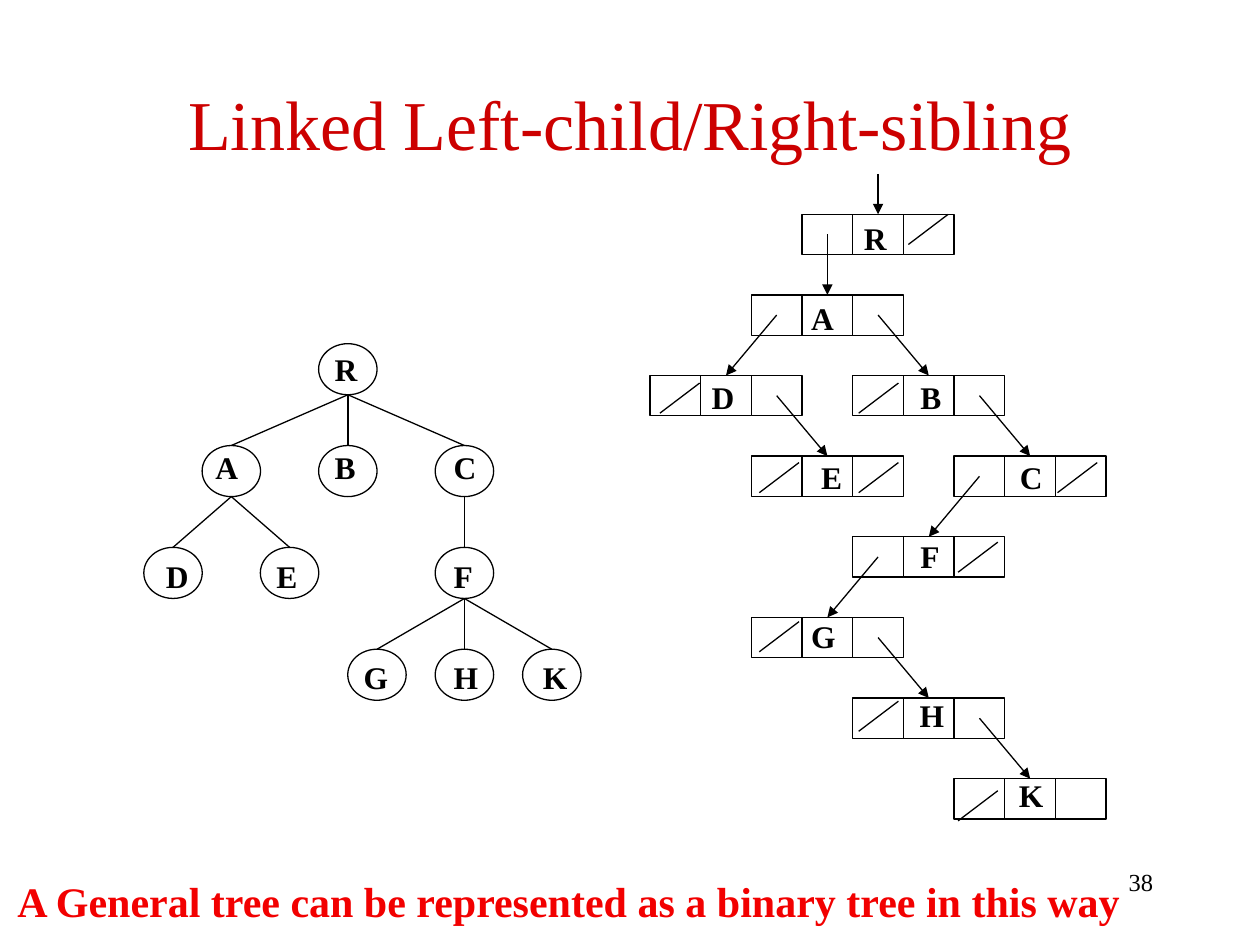
import pptx
import pptx.dml.color
import pptx.enum.shapes
import pptx.enum.text
import pptx.oxml
import pptx.oxml.ns
import pptx.util

Pt = pptx.util.Pt
SHAPE = pptx.enum.shapes.MSO_SHAPE
ALIGN = pptx.enum.text.PP_ALIGN
BLACK = pptx.dml.color.RGBColor(0, 0, 0)
WHITE = pptx.dml.color.RGBColor(255, 255, 255)
TITLE_RED = pptx.dml.color.RGBColor(0xCC, 0, 0)
CAPTION_RED = pptx.dml.color.RGBColor(0xF2, 0, 0)
FONT = "Times New Roman"

# General tree: name -> (column, level, label inset, parent)
TREE_NODES = {
    "R": (6, 0, 2, None), "A": (2, 1, 0.5, "R"), "B": (6, 1, 2, "R"),
    "C": (10, 1, 3.5, "R"), "D": (0, 2, 5.5, "A"), "E": (4, 2, 2, "A"),
    "F": (10, 2, 3.5, "C"), "G": (7, 3, 2, "F"), "H": (10, 3, 3.5, "F"),
    "K": (13, 3, 4.5, "F"),
}
TREE_LEFT, TREE_TOP = 82.2, 196.4
TREE_COLUMN, TREE_LEVEL = 16.65, 58.2
NODE_WIDTH, NODE_HEIGHT = 33.4, 29.2
LEVEL_LABEL_SHIFT = (0, -2, 2, 1.2)

# Linked records: name -> (first column, row, label shift)
RECORDS = {
    "R": (3, 0, 1.8), "A": (2, 1, 0), "D": (0, 2, 0), "B": (4, 2, 5.7),
    "E": (2, 3, 5.7), "C": (6, 3, 5.7), "F": (4, 4, 5.7), "G": (2, 5, 0),
    "H": (4, 6, 5.2), "K": (6, 7, 5.2),
}
LEFT_FIELD, NAME_FIELD, RIGHT_FIELD = range(3)
POINTERS = [
    ("R", LEFT_FIELD, "A"), ("A", LEFT_FIELD, "D"), ("A", RIGHT_FIELD, "B"),
    ("D", RIGHT_FIELD, "E"), ("B", RIGHT_FIELD, "C"), ("C", LEFT_FIELD, "F"),
    ("F", LEFT_FIELD, "G"), ("G", RIGHT_FIELD, "H"), ("H", RIGHT_FIELD, "K"),
]
# Null fields: (record, field, vertical shift of the slash)
NULLS = [
    ("R", RIGHT_FIELD, -5.5), ("D", LEFT_FIELD, 0), ("B", LEFT_FIELD, 0),
    ("E", LEFT_FIELD, 0), ("E", RIGHT_FIELD, 0), ("C", RIGHT_FIELD, 0),
    ("F", RIGHT_FIELD, 0), ("G", LEFT_FIELD, 0), ("H", LEFT_FIELD, 0),
    ("K", LEFT_FIELD, 5.7),
]
RECORD_LEFT, RECORD_TOP = 371.4, 122.4
CELL_WIDTH, CELL_HEIGHT, ROW_PITCH = 28.97, 23.1, 46.08
MARK_COLUMN, MARK_ROW = 28.4, 45.45  # grid of the labels and slashes


def format_paragraph(para, size, color, bold=False, align=ALIGN.LEFT):
    para.alignment = align
    para.font.name = FONT
    para.font.size = Pt(size)
    para.font.bold = bold
    para.font.color.rgb = color


def add_text(shapes, text, left, top, width, height, size, color=BLACK,
             bold=True, align=ALIGN.LEFT, wrap=False):
    box = shapes.add_textbox(Pt(left), Pt(top), Pt(width), Pt(height))
    box.text_frame.word_wrap = wrap
    para = box.text_frame.paragraphs[0]
    para.text = text
    format_paragraph(para, size, color, bold, align)


def add_label(shapes, text, left, top):
    add_text(shapes, text, left, top, 28, 29, 18)


def add_outline(shapes, kind, left, top, width, height):
    shape = shapes.add_shape(kind, Pt(left), Pt(top), Pt(width), Pt(height))
    shape.shadow.inherit = False
    shape.fill.solid()
    shape.fill.fore_color.rgb = WHITE
    shape.line.color.rgb = BLACK
    shape.line.width = Pt(0.75)
    return shape


def add_line(shapes, start, end, arrow=False):
    line = shapes.add_connector(
        pptx.enum.shapes.MSO_CONNECTOR.STRAIGHT, *map(Pt, start + end))
    line.line.color.rgb = BLACK
    line.line.width = Pt(0.75)
    if arrow:
        pptx.oxml.ns.qn("a:tailEnd")
        outline = line.line._get_or_add_ln()
        outline.append(pptx.oxml.parse_xml(
            f'<a:tailEnd {pptx.oxml.ns.nsdecls("a")} type="triangle"/>'))
    line._element.spPr.append(pptx.oxml.parse_xml(
        f'<a:effectLst {pptx.oxml.ns.nsdecls("a")}/>'))
    return line


def add_title(slide, text):
    title = slide.shapes.title
    title.left, title.top, title.width, title.height = map(
        Pt, (54, 48, 612, 90))
    frame = title.text_frame
    frame.text = text
    frame.word_wrap = True
    frame.vertical_anchor = pptx.enum.text.MSO_ANCHOR.MIDDLE
    frame.margin_bottom = Pt(49.6)  # lifts the line above the diagram
    format_paragraph(frame.paragraphs[0], 40, TITLE_RED, align=ALIGN.CENTER)


def add_general_tree(shapes):
    corners = {
        name: (TREE_LEFT + column * TREE_COLUMN, TREE_TOP + level * TREE_LEVEL)
        for name, (column, level, _, _) in TREE_NODES.items()}
    for left, top in corners.values():
        add_outline(shapes, SHAPE.OVAL, left, top, NODE_WIDTH, NODE_HEIGHT)
    for name, (_, level, inset, parent) in TREE_NODES.items():
        left, top = corners[name]
        if parent:
            parent_left, parent_top = corners[parent]
            add_line(shapes,
                     (parent_left + NODE_WIDTH / 2, parent_top + NODE_HEIGHT),
                     (left + NODE_WIDTH / 2, top))
        add_label(shapes, name, left + inset, top + LEVEL_LABEL_SHIFT[level])


def cell_corner(name, field):
    column, row, _ = RECORDS[name]
    return (RECORD_LEFT + (column + field) * CELL_WIDTH,
            RECORD_TOP + row * ROW_PITCH)


def add_linked_records(shapes):
    cells = {
        (name, field): add_outline(shapes, SHAPE.RECTANGLE,
                                   *cell_corner(name, field),
                                   CELL_WIDTH, CELL_HEIGHT)
        for name in RECORDS for field in range(3)}

    def point_to(name, start):
        left, top = cell_corner(name, NAME_FIELD)
        arrow = add_line(shapes, start, (left + CELL_WIDTH / 2, top), True)
        arrow.end_connect(cells[name, NAME_FIELD], 0)

    root_left, root_top = cell_corner("R", NAME_FIELD)
    point_to("R", (root_left + CELL_WIDTH / 2, root_top - 23))
    for source, field, target in POINTERS:
        left, top = cell_corner(source, field)
        point_to(target, (left + CELL_WIDTH / 2, top + CELL_HEIGHT / 2))

    for name, (column, row, shift) in RECORDS.items():
        add_label(shapes, name, 399.6 + column * MARK_COLUMN + shift,
                  121.7 + row * MARK_ROW)
    for name, field, shift in NULLS:
        column, row, _ = RECORDS[name]
        left = 377.1 + (column + field) * MARK_COLUMN
        top = 128 + row * MARK_ROW + shift
        add_line(shapes, (left, top + 17.2), (left + 22.7, top))


def main():
    deck = pptx.Presentation()
    deck.slide_width, deck.slide_height = Pt(720), Pt(540)
    slide = deck.slides.add_slide(deck.slide_layouts[5])
    add_title(slide, "Linked Left-child/Right-sibling")
    add_text(slide.shapes, "38", 516, 492, 150, 36, 14, bold=False,
             align=ALIGN.RIGHT, wrap=True)
    add_general_tree(slide.shapes.add_group_shape().shapes)
    add_text(slide.shapes,
             "A General tree can be represented as a binary tree in this way",
             2.9, 496.8, 647, 36, 24, CAPTION_RED)
    add_linked_records(slide.shapes.add_group_shape().shapes)
    deck.save("out.pptx")


if __name__ == "__main__":
    main()
